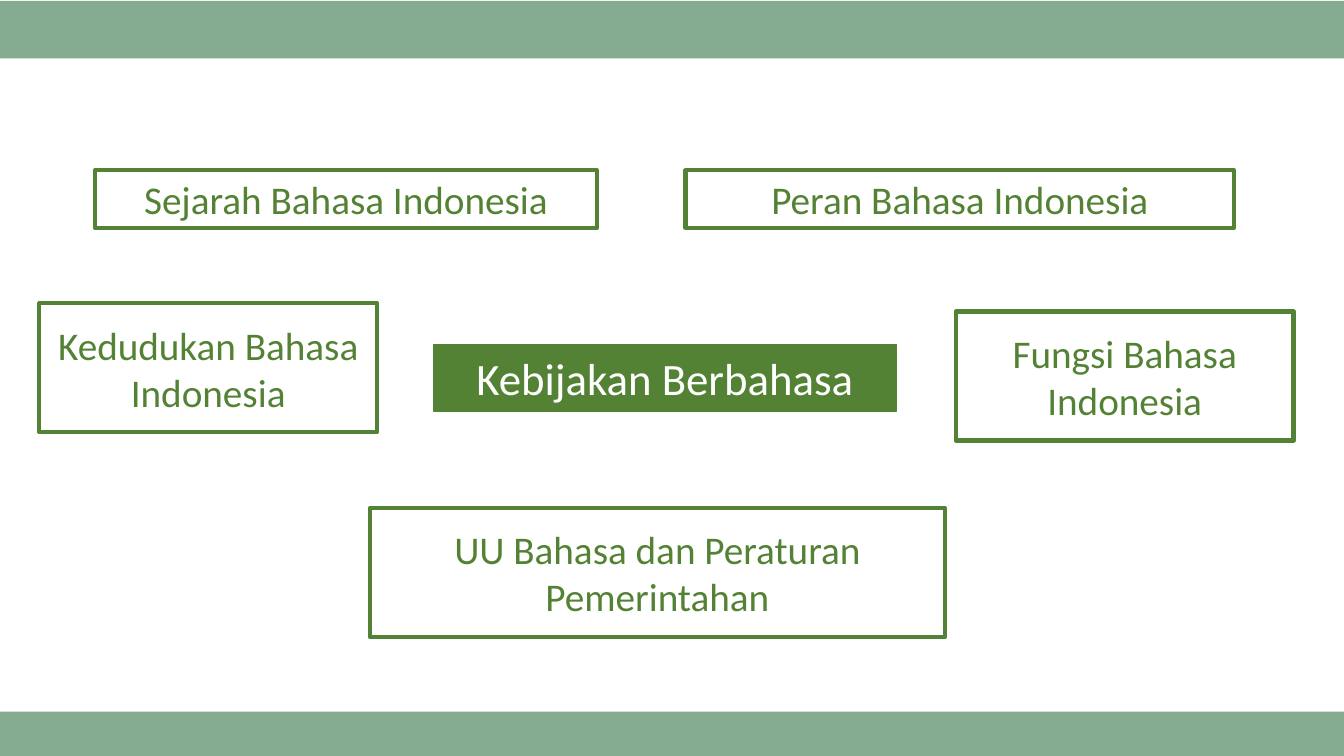
import pptx
import pptx.dml.color
import pptx.enum.shapes
import pptx.enum.text
import pptx.util

Inches = pptx.util.Inches

SLIDE_WIDTH, SLIDE_HEIGHT = 13.33, 7.5

THEME = {
    "font": "Calibri",
    "green": "548235",
    "sage": "85AC91",
    "white": "FFFFFF",
    "center_size": 32,
    "topic_size": 28,
    "center_line": 1,
    "topic_line": 3,
}

# Each box is left, top, width, height in inches.
CENTER = ("Kebijakan Berbahasa", (4.3, 3.42, 4.59, 0.66))
TOPICS = [
    ("Sejarah Bahasa Indonesia", (0.94, 1.69, 4.98, 0.57)),
    ("Kedudukan Bahasa Indonesia", (0.39, 3.01, 3.35, 1.28)),
    ("Fungsi Bahasa Indonesia", (9.48, 3.09, 3.35, 1.28)),
    ("Peran Bahasa Indonesia", (6.8, 1.69, 5.44, 0.57)),
    ("UU Bahasa dan Peraturan Pemerintahan", (3.67, 5.04, 5.7, 1.28)),
]
BAND_TOPS = [7.06, 0.01]
BAND_HEIGHT = 0.57


def theme_color(name):
    return pptx.dml.color.RGBColor.from_string(THEME[name])


def add_rectangle(slide, box, fill):
    """Add a filled rectangle without outline or shadow."""
    shape = slide.shapes.add_shape(
        pptx.enum.shapes.MSO_SHAPE.RECTANGLE, *map(Inches, box)
    )
    shape.shadow.inherit = False
    shape.fill.solid()
    shape.fill.fore_color.rgb = theme_color(fill)
    shape.line.fill.background()
    return shape


def add_label(slide, label, box, fill, ink, role):
    """Add a green-outlined rectangle with centred text; role picks its sizes."""
    shape = add_rectangle(slide, box, fill)
    shape.line.color.rgb = theme_color("green")
    shape.line.width = pptx.util.Pt(THEME[role + "_line"])
    text_frame = shape.text_frame
    text_frame.word_wrap = True
    text_frame.vertical_anchor = pptx.enum.text.MSO_ANCHOR.MIDDLE
    text_frame.text = label
    paragraph = text_frame.paragraphs[0]
    paragraph.alignment = pptx.enum.text.PP_ALIGN.CENTER
    font = paragraph.runs[0].font
    font.name = THEME["font"]
    font.size = pptx.util.Pt(THEME[role + "_size"])
    font.color.rgb = theme_color(ink)


def main():
    presentation = pptx.Presentation()
    presentation.slide_width = Inches(SLIDE_WIDTH)
    presentation.slide_height = Inches(SLIDE_HEIGHT)
    slide = presentation.slides.add_slide(presentation.slide_layouts[6])

    add_label(slide, *CENTER, fill="green", ink="white", role="center")
    for label, box in TOPICS:
        add_label(slide, label, box, fill="white", ink="green", role="topic")
    for top in BAND_TOPS:
        add_rectangle(slide, (0, top, SLIDE_WIDTH, BAND_HEIGHT), "sage")

    presentation.save("out.pptx")


if __name__ == "__main__":
    main()
